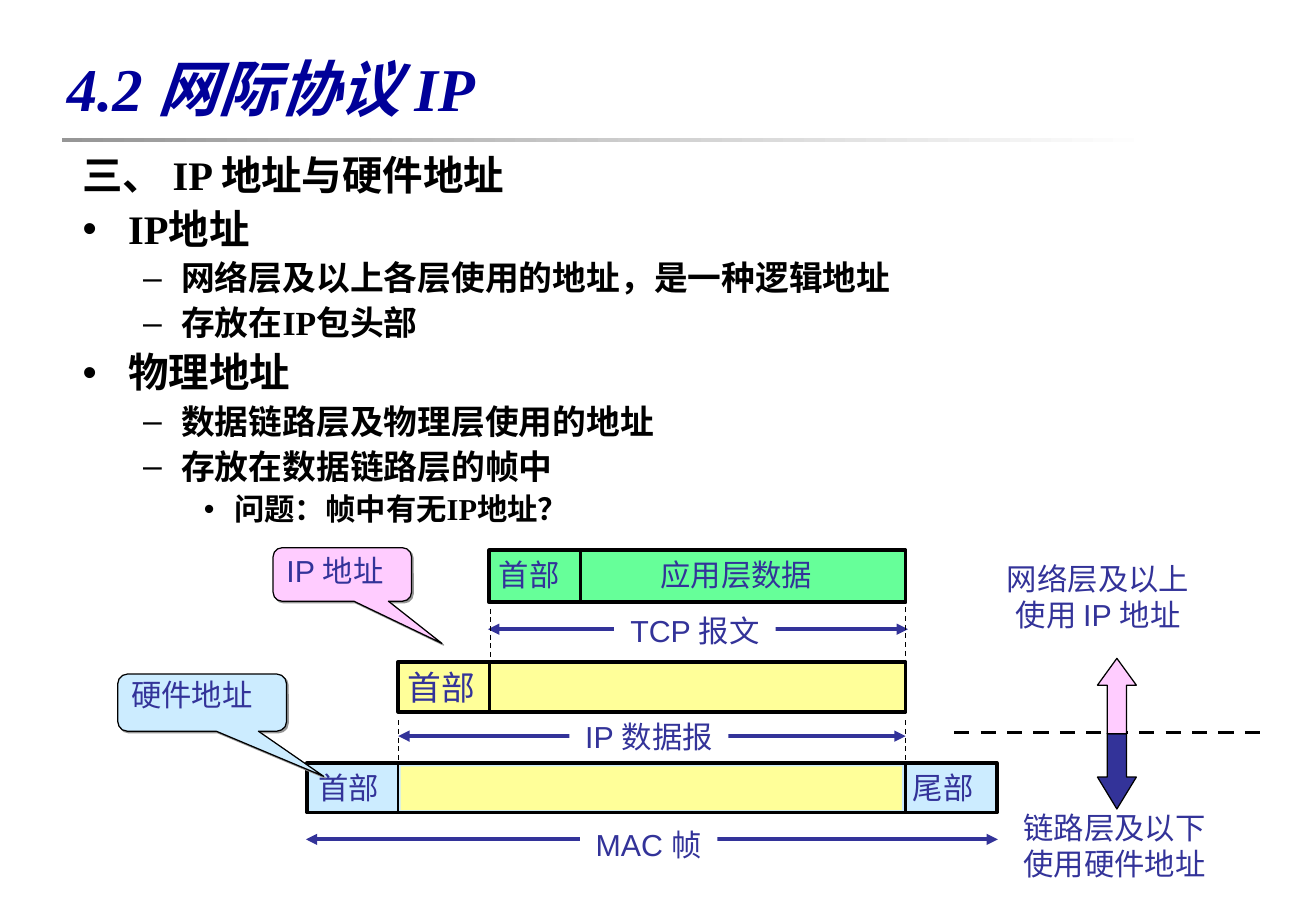
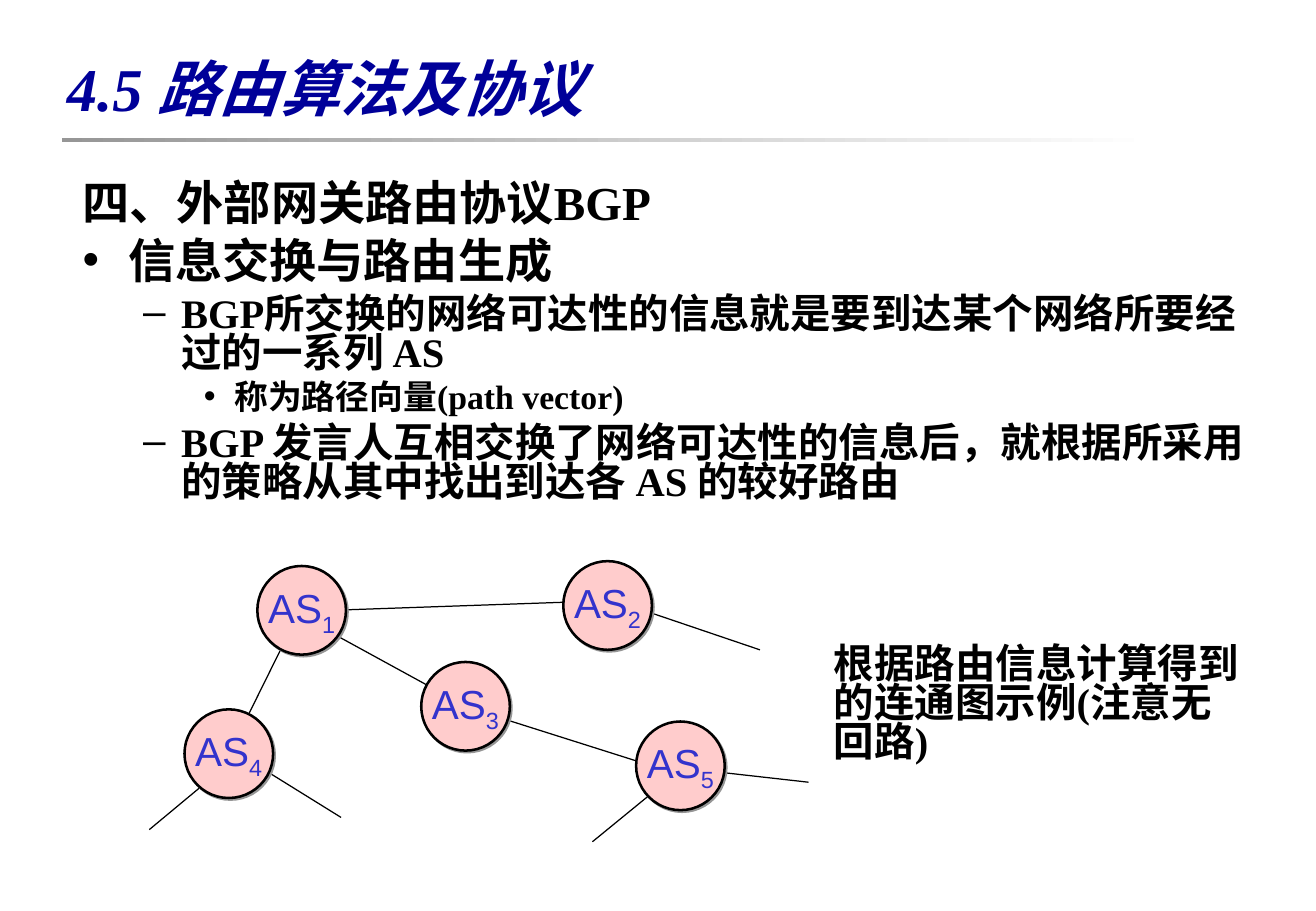
from dataclasses import dataclass
from typing import Any, Optional

from lxml import etree
from pptx import Presentation
from pptx.dml.color import RGBColor
from pptx.enum.dml import MSO_LINE
from pptx.enum.shapes import MSO_CONNECTOR, MSO_SHAPE as Preset
from pptx.enum.text import MSO_ANCHOR as Anchor, MSO_AUTO_SIZE as AutoSize, PP_ALIGN as Align
from pptx.oxml.ns import qn
from pptx.util import Inches, Pt

COLORS = {
    "black": "000000", "white": "FFFFFF", "title": "000099", "grey": "969696",
    "label": "333399", "node_text": "3333CC", "node": "FFCCCC", "green": "66FF99",
    "yellow": "FFFF99", "blue": "CCECFF", "pink": "FFCCFF",
}
TITLE_FONT = {"name": "Times New Roman", "size": Pt(36), "bold": True, "italic": True}
BODY_FONT = {"name": "Times New Roman", "bold": True}
LABEL_FONT = {"name": "Arial"}
LABEL_FRAME = {"word_wrap": False, "auto_size": AutoSize.NONE,
               "margin_left": 0, "margin_right": 0}


@dataclass(frozen=True)
class Box:
    left: float
    top: float
    width: float
    height: float

    def emu(self) -> list[int]:
        return [Inches(v) for v in (self.left, self.top, self.width, self.height)]


@dataclass(frozen=True)
class Label:
    text: str
    box: Box
    size: int = 18
    fill: Optional[str] = None


@dataclass(frozen=True)
class Line:
    x1: float
    y1: float
    x2: float
    y2: float
    color: str = "black"
    width: float = 0.75
    dashed: bool = False
    arrows: bool = False


@dataclass(frozen=True)
class DataUnit:
    """A protocol data unit: its bar and the positions of its field dividers."""
    bar: Box
    fill: str
    dividers: tuple[float, ...]


@dataclass(frozen=True)
class Callout:
    box: Box
    fill: str
    tip: tuple[float, float]


@dataclass(frozen=True)
class Item:
    text: str
    size: int
    space: float
    level: int = 0
    bullet: bool = True


def rgb(color: str) -> RGBColor:
    return RGBColor.from_string(COLORS[color])


def apply(target: Any, formats: dict[str, Any]) -> None:
    for name, value in formats.items():
        setattr(target, name, value)


def add_run(paragraph: Any, text: str, color: str, formats: dict[str, Any]) -> Any:
    run = paragraph.add_run()
    run.text = text
    apply(run.font, formats)
    run.font.color.rgb = rgb(color)
    return run


def add_preset(slide: Any, preset: Any, box: Box, fill: str, width: float = 0,
               adjustments: tuple[float, ...] = (), shadow: bool = False) -> Any:
    shape = slide.shapes.add_shape(preset, *box.emu())
    shape.shadow.inherit = False
    shape.fill.solid()
    shape.fill.fore_color.rgb = rgb(fill)
    if width:
        shape.line.color.rgb = rgb("black")
        shape.line.width = Pt(width)
    else:
        shape.line.fill.background()
    for index, value in enumerate(adjustments):
        shape.adjustments[index] = value
    if shadow:
        effects = shape.element.spPr.find(qn("a:effectLst"))
        outer = etree.SubElement(effects, qn("a:outerShdw"), blurRad="0", dist=str(Pt(1.4)),
                                 dir="2700000", algn="ctr", rotWithShape="0")
        etree.SubElement(outer, qn("a:srgbClr"), val=COLORS["grey"])
    return shape


def add_line(slide: Any, line: Line) -> None:
    ends = [Inches(v) for v in (line.x1, line.y1, line.x2, line.y2)]
    connector = slide.shapes.add_connector(MSO_CONNECTOR.STRAIGHT, *ends)
    connector.line.color.rgb = rgb(line.color)
    connector.line.width = Pt(line.width)
    if line.dashed:
        connector.line.dash_style = MSO_LINE.DASH
    properties = connector.element.spPr
    if line.arrows:
        for end in ("a:headEnd", "a:tailEnd"):
            etree.SubElement(properties.find(qn("a:ln")), qn(end), type="triangle")
    etree.SubElement(properties, qn("a:effectLst"))


def add_label(slide: Any, label: Label) -> None:
    box = slide.shapes.add_textbox(*label.box.emu())
    if label.fill:
        box.fill.solid()
        box.fill.fore_color.rgb = rgb(label.fill)
    frame = box.text_frame
    apply(frame, LABEL_FRAME)
    for index, text in enumerate(label.text.split("\n")):
        paragraph = frame.add_paragraph() if index else frame.paragraphs[0]
        paragraph.alignment = Align.CENTER
        add_run(paragraph, text, "label", LABEL_FONT | {"size": Pt(label.size)})


def fill_body(frame: Any, items: list[Item], line_spacing: float) -> None:
    frame.word_wrap = True
    frame.auto_size = AutoSize.NONE
    for index, item in enumerate(items):
        paragraph = frame.add_paragraph() if index else frame.paragraphs[0]
        paragraph.level = item.level
        paragraph.line_spacing = line_spacing
        paragraph.space_before = Pt(item.space if index else 0)
        if not item.bullet:
            etree.SubElement(paragraph._p.get_or_add_pPr(), qn("a:buNone"))
        add_run(paragraph, item.text, "black", BODY_FONT | {"size": Pt(item.size)})


def place(shape: Any, box: Box) -> None:
    shape.left, shape.top, shape.width, shape.height = box.emu()


def add_title_rule(slide: Any, layout: Any) -> None:
    """Draw the fading rule under the title and hand it to the shared layout."""
    rule = add_preset(slide, Preset.RECTANGLE, Box(0.51, 1.14, 9, 0.03), "grey")
    rule.fill.gradient()
    rule.fill.gradient_angle = 0
    for stop, color, position in zip(rule.fill.gradient_stops, ("grey", "white"), (0, 1)):
        stop.color.rgb = rgb(color)
        stop.position = position
    layout.shapes.element.append(rule.element)


def add_content_slide(deck: Any, title: str, body: Box, items: list[Item],
                      line_spacing: float) -> Any:
    slide = deck.slides.add_slide(deck.slide_layouts[1])
    heading = slide.shapes.title
    place(heading, Box(0.45, 0.28, 9.84, 0.87))
    frame = heading.text_frame
    frame.auto_size = AutoSize.NONE
    frame.vertical_anchor = Anchor.MIDDLE
    frame.paragraphs[0].alignment = Align.LEFT
    add_run(frame.paragraphs[0], title, "title", TITLE_FONT)
    place(slide.placeholders[1], body)
    fill_body(slide.placeholders[1].text_frame, items, line_spacing)
    return slide


def build_address_slide(deck: Any) -> Any:
    slide = add_content_slide(deck, "4.2 网际协议 IP", Box(0.58, 1.23, 9.95, 3.21), [
        Item("三、 IP 地址与硬件地址", 24, 6, bullet=False),
        Item("IP地址", 24, 6),
        Item("网络层及以上各层使用的地址，是一种逻辑地址", 20, 5, 1),
        Item("存放在IP包头部", 20, 5, 1),
        Item("物理地址", 24, 6),
        Item("数据链路层及物理层使用的地址", 20, 5, 1),
        Item("存放在数据链路层的帧中", 20, 5, 1),
        Item("问题：帧中有无IP地址？", 18, 4.5, 2),
    ], 0.9)

    for left, right, y in ((2.52, 8.22, 6.91), (3.28, 7.46, 6.06), (4.02, 7.48, 5.18)):
        add_line(slide, Line(left, y, right, y, "label", 2.25, arrows=True))
    for span in (Label("TCP 报文", Box(5.06, 4.99, 1.33, 0.4), fill="white"),
                 Label("IP 数据报", Box(4.69, 5.86, 1.31, 0.4), fill="white"),
                 Label("MAC 帧", Box(4.78, 6.75, 1.13, 0.4), fill="white")):
        add_label(slide, span)
    for x, top, bottom in ((3.28, 5.93, 6.28), (7.46, 5.93, 6.28),
                           (4.04, 5.01, 5.45), (7.46, 5, 5.45)):
        add_line(slide, Line(x, top, x, bottom, dashed=True))
    add_line(slide, Line(7.86, 6.03, 10.38, 6.03, width=2.25, dashed=True))

    for unit in (DataUnit(Box(4.03, 4.53, 3.43, 0.43), "green", (4.78,)),
                 DataUnit(Box(3.28, 5.45, 4.18, 0.41), "yellow", (4.03,)),
                 DataUnit(Box(2.53, 6.28, 5.68, 0.41), "blue", (3.28, 7.46))):
        add_preset(slide, Preset.RECTANGLE, unit.bar, unit.fill, 2.25)
        for x in unit.dividers:
            add_line(slide, Line(x, unit.bar.top, x, unit.bar.top + unit.bar.height, width=1.5))
    add_preset(slide, Preset.RECTANGLE, Box(3.3, 6.31, 4.13, 0.36), "yellow")

    for label in (Label("应用层数据", Box(5.34, 4.53, 1.45, 0.4)),
                  Label("首部", Box(4.01, 4.53, 0.7, 0.4)),
                  Label("首部", Box(3.26, 5.44, 0.75, 0.44), 20),
                  Label("首部", Box(2.52, 6.28, 0.7, 0.4)),
                  Label("尾部", Box(7.42, 6.28, 0.7, 0.4)),
                  Label("网络层及以上\n使用 IP 地址", Box(8.18, 4.56, 1.73, 0.7)),
                  Label("链路层及以下\n使用硬件地址", Box(8.33, 6.61, 1.7, 0.7))):
        add_label(slide, label)

    add_preset(slide, Preset.DOWN_ARROW, Box(9.04, 6.04, 0.32, 0.62), "label", 0.75, (0.5, 0.82))
    add_preset(slide, Preset.UP_ARROW, Box(9.04, 5.42, 0.32, 0.62), "pink", 0.75, (0.5, 0.69))

    for callout in (Callout(Box(0.97, 5.55, 1.39, 0.47), "blue", (0.72, 1.29)),
                    Callout(Box(2.25, 4.51, 1.14, 0.44), "pink", (0.72, 1.29))):
        add_preset(slide, Preset.ROUNDED_RECTANGULAR_CALLOUT, callout.box, callout.fill,
                   0.75, callout.tip, shadow=True)
    add_label(slide, Label("硬件地址", Box(0.98, 5.52, 1.2, 0.4)))
    add_label(slide, Label("IP 地址", Box(2.23, 4.5, 1.06, 0.4)))
    return slide


def add_system(slide: Any, number: int, left: float, top: float) -> None:
    """Draw one autonomous system as a circle with a subscript number."""
    node = add_preset(slide, Preset.OVAL, Box(left, top, 0.73, 0.73), "node", 1.5, shadow=True)
    frame = node.text_frame
    frame.word_wrap = False
    frame.vertical_anchor = Anchor.MIDDLE
    paragraph = frame.paragraphs[0]
    paragraph.alignment = Align.CENTER
    formats = LABEL_FONT | {"size": Pt(24)}
    add_run(paragraph, "AS", "node_text", formats)
    subscript = add_run(paragraph, str(number), "node_text", formats)
    subscript._r.get_or_add_rPr().set("baseline", "-25000")


def build_routing_slide(deck: Any) -> None:
    slide = add_content_slide(deck, "4.5 路由算法及协议", Box(0.58, 1.47, 9.95, 2.9), [
        Item("四、外部网关路由协议BGP", 28, 7, bullet=False),
        Item("信息交换与路由生成", 28, 7),
        Item("BGP所交换的网络可达性的信息就是要到达某个网络所要经过的一系列 AS", 24, 6, 1),
        Item("称为路径向量(path vector)", 20, 5, 2),
        Item("BGP 发言人互相交换了网络可达性的信息后，就根据所采用的策略从其中找出到达各 AS 的较好路由",
             24, 6, 1),
    ], 0.8)

    for link in (Line(2.02, 6.24, 2.81, 6.73), Line(1.82, 6.34, 1.23, 6.83),
                 Line(5.48, 6.44, 4.88, 6.93), Line(2.58, 5.03, 4.88, 4.95),
                 Line(5.08, 4.95, 6.26, 5.35), Line(2.53, 5.1, 3.7, 5.74),
                 Line(3.9, 5.84, 5.48, 6.34), Line(5.77, 6.34, 6.66, 6.44),
                 Line(1.92, 6.14, 2.41, 5.15)):
        add_line(slide, link)
    systems = ((2.12, 4.66), (4.64, 4.62), (3.47, 5.45), (1.52, 5.84), (5.24, 5.94))
    for number, (left, top) in enumerate(systems, start=1):
        add_system(slide, number, left, top)

    caption = slide.shapes.add_textbox(*Box(6.77, 5.28, 3.62, 1.74).emu())
    fill_body(caption.text_frame,
              [Item("根据路由信息计算得到的连通图示例(注意无回路)", 24, 0, bullet=False)], 0.8)


def main() -> None:
    deck = Presentation()
    deck.slide_width, deck.slide_height = Inches(10.84), Inches(7.5)
    address_slide = build_address_slide(deck)
    add_title_rule(address_slide, address_slide.slide_layout)
    build_routing_slide(deck)
    deck.save("out.pptx")


if __name__ == "__main__":
    main()
